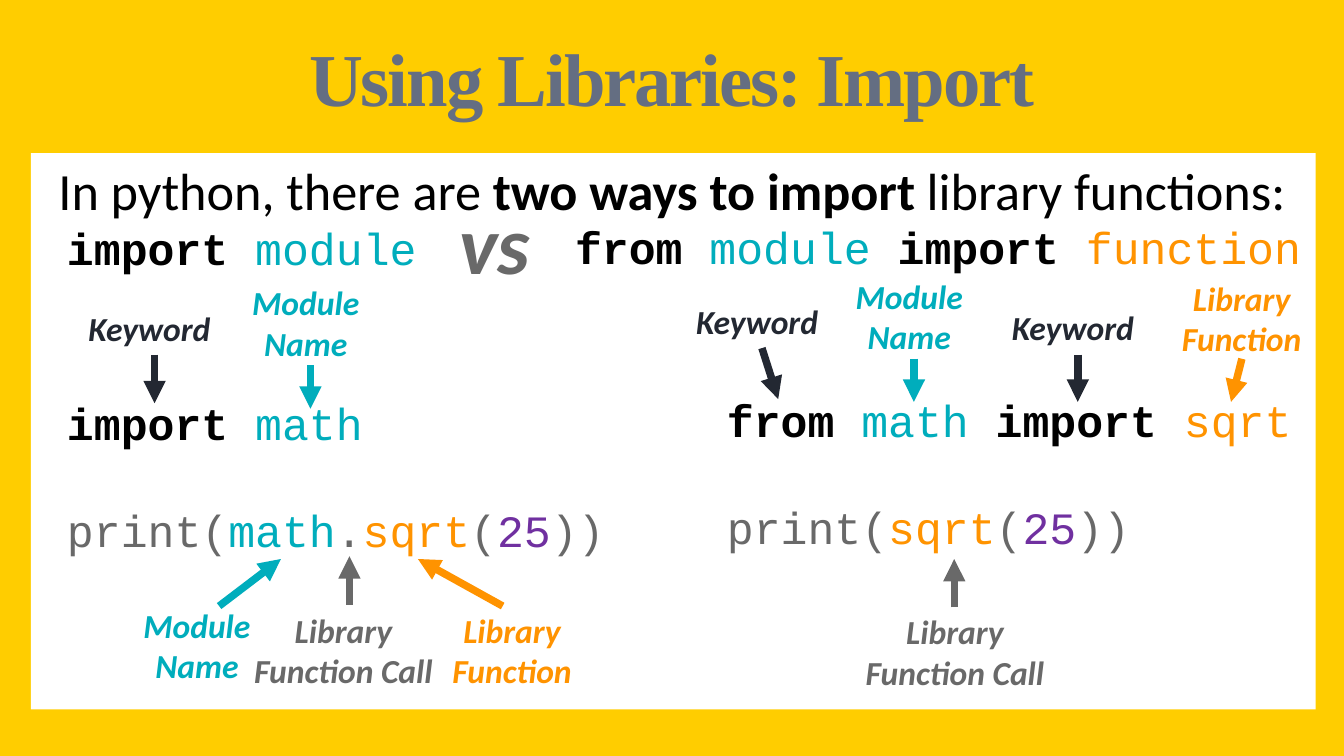
from lxml.etree import SubElement
from pptx import Presentation
from pptx.dml.color import RGBColor
from pptx.enum.shapes import MSO_CONNECTOR, MSO_SHAPE
from pptx.enum.text import MSO_ANCHOR, PP_ALIGN as Align
from pptx.oxml.ns import qn
from pptx.util import Pt

COLORS = {
    "gold": "FFCD00", "white": "FFFFFF", "black": "000000", "slate": "646E82",
    "keyword": "232832", "module": "00ADBC", "function": "FF9300",
    "call": "696969", "number": "7030A0",
}
MONO = "Courier New"


def color(name):
    """Return the named colour."""
    return RGBColor.from_string(COLORS[name])


def add_span(para, text, font="Calibri", size=18, ink="black", bold=False,
             italic=False, spacing=None):
    """Append formatted text to a paragraph."""
    span = para.add_run()
    span.text = text
    style = span.font
    style.name, style.size = font, Pt(size)
    style.bold, style.italic = bold, italic
    style.color.rgb = color(ink)
    if spacing is not None:
        span._r.get_or_add_rPr().set("spc", str(int(spacing * 100)))


class Slide:
    """The current page and the style of its elements."""

    label_size = 18
    code_size = 24
    arrow_width = 4
    # kind: text, width, height, alignment
    labels = {
        "keyword": ("Keyword", 83.5, 29, Align.LEFT),
        "module": ("Module Name", 104.4, 51, Align.CENTER),
        "function": ("Library Function", 82, 51, Align.CENTER),
        "call": ("Library Function Call", 111.6, 51, Align.CENTER),
    }

    def __init__(self, deck):
        """Add a blank page with the gold background."""
        self.page = deck.slides.add_slide(deck.slide_layouts[6])
        fill = self.page.background.fill
        fill.solid()
        fill.fore_color.rgb = color("gold")

    def panel(self, left, top, width, height):
        """Draw the plain white content panel."""
        box = self.page.shapes.add_shape(
            MSO_SHAPE.RECTANGLE, Pt(left), Pt(top), Pt(width), Pt(height))
        box.shadow.inherit = False
        box.fill.solid()
        box.fill.fore_color.rgb = color("white")
        box.line.fill.background()

    def text(self, left, top, width, height, lines, align=Align.LEFT,
             leading=1.0, before=0, gap=0, inset=(7.2, 3.6),
             anchor=MSO_ANCHOR.TOP):
        """Place lines, each a list of (text, format) pairs."""
        box = self.page.shapes.add_textbox(
            Pt(left), Pt(top), Pt(width), Pt(height))
        frame = box.text_frame
        frame.word_wrap = True
        frame.vertical_anchor = anchor
        frame.margin_left = frame.margin_right = Pt(inset[0])
        frame.margin_top = frame.margin_bottom = Pt(inset[1])
        for index, line in enumerate(lines):
            para = frame.add_paragraph() if index else frame.paragraphs[0]
            para.alignment = align
            para.line_spacing = leading
            para.space_before = Pt(gap if index else before)
            for words, style in line:
                add_span(para, words, **style)

    def code(self, left, top, width, height, *lines):
        """Place code lines made of (text, colour) pairs; black is bold."""
        styled = [[(words, dict(font=MONO, size=self.code_size, ink=ink,
                                bold=ink == "black"))
                   for words, ink in line] for line in lines]
        self.text(left, top, width, height, styled, leading=0.8,
                  before=4, gap=34.5)

    def label(self, kind, left, top):
        """Place the label that explains one kind of word."""
        words, width, height, align = self.labels[kind]
        style = dict(size=self.label_size, ink=kind, bold=True, italic=True)
        self.text(left, top, width, height, [[(words, style)]], align)

    def arrow(self, kind, start, end):
        """Draw an arrow in the colour of its label."""
        line = self.page.shapes.add_connector(
            MSO_CONNECTOR.STRAIGHT, *[Pt(value) for value in start + end])
        line.line.color.rgb = color(kind)
        line.line.width = Pt(self.arrow_width)
        SubElement(line.line._get_or_add_ln(), qn("a:tailEnd"), type="triangle")
        SubElement(line._element.spPr, qn("a:effectLst"))


deck = Presentation()
deck.slide_width, deck.slide_height = Pt(720), Pt(405)
slide = Slide(deck)
slide.panel(16.6, 82, 688.3, 298)

heading = dict(inset=(8.64, 5), align=Align.CENTER, leading=0.9)
slide.text(15.8, 17.3, 688.3, 53.3,
           [[("Using Libraries: Import",
              dict(font="Times New Roman", size=40, ink="slate", bold=True,
                   spacing=-1.1))]],
           anchor=MSO_ANCHOR.MIDDLE, **heading)
slide.text(15.8, 83.5, 688.3, 41,
           [[("In python, there are ", dict(size=28)),
             ("two ways to import ", dict(size=28, bold=True)),
             ("library functions:", dict(size=28))]], **heading)
slide.text(237.6, 99.4, 54.7, 60.5,
           [[("vs", dict(size=44, ink="call", bold=True, italic=True))]],
           align=Align.CENTER)

sqrt_call = [("sqrt", "function"), ("(", "call"), ("25", "number"), ("))", "call")]
slide.code(28.8, 120.2, 345, 43, [("import ", "black"), ("module", "module")])
slide.code(301, 119.5, 415.4, 37.4,
           [("from ", "black"), ("module ", "module"),
            ("import ", "black"), ("function", "function")])
slide.code(28.8, 213.8, 345, 119.5,
           [("import ", "black"), ("math", "module")],
           [("print(", "call"), ("math", "module"), (".", "call")] + sqrt_call)
slide.code(382.3, 212.4, 345, 105,
           [("from ", "black"), ("math ", "module"),
            ("import ", "black"), ("sqrt", "function")],
           [("print(", "call")] + sqrt_call)

# kind, label corner, arrow start, arrow end
notes = [
    ("keyword", (40.3, 161.3), (82.8, 190), (82.8, 216)),
    ("module", (111.6, 147.6), (166.3, 195.8), (166.3, 219)),
    ("keyword", (365.8, 157.7), (408.2, 186.5), (416.9, 213.8)),
    ("module", (434.9, 144), (489.6, 192.2), (489.6, 215.3)),
    ("keyword", (535, 160.6), (577.4, 190), (577.4, 215.3)),
    ("function", (624.2, 145.4), (665.3, 192.2), (659.5, 215.3)),
    ("module", (53.3, 320.4), (117.4, 324.7), (150.5, 299.5)),
    ("call", (128.2, 323.3), (187.2, 324), (187.2, 298)),
    ("function", (233.3, 323.3), (269.3, 324.7), (223.9, 299.5)),
    ("call", (455.8, 324), (511.2, 325.4), (511.2, 299.5)),
]
for kind, corner, start, end in notes:
    slide.label(kind, *corner)
    slide.arrow(kind, start, end)

deck.save("out.pptx")
